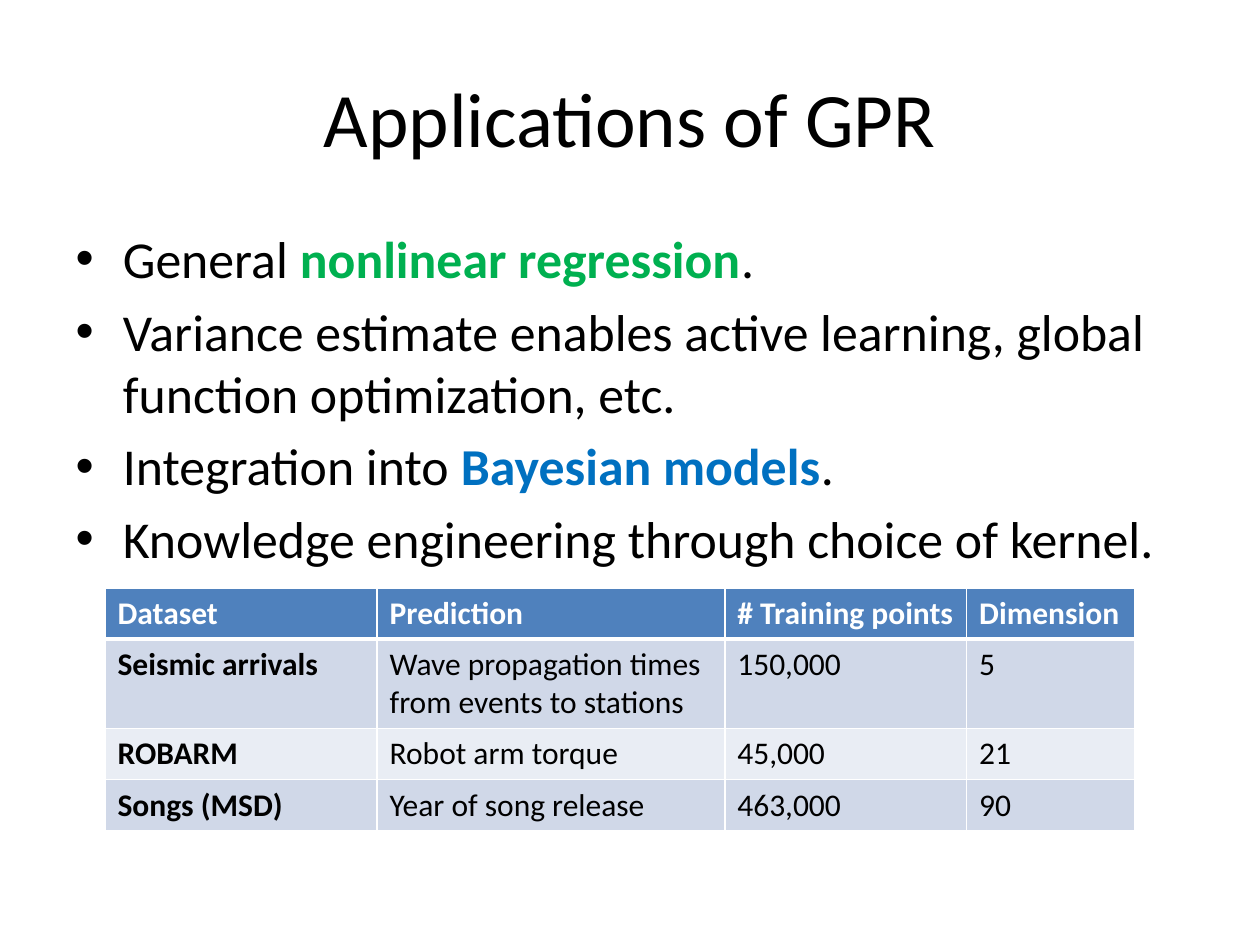
from pptx import Presentation
from pptx.dml.color import RGBColor
from pptx.enum.text import MSO_ANCHOR, PP_ALIGN
from pptx.util import Pt
from lxml.etree import SubElement
from pptx.oxml.ns import qn

FONT = "Calibri"
BLACK, WHITE, GREEN, BLUE = "000000", "FFFFFF", "00B050", "0070C0"
HEADER_FILL, BAND_FILLS = "4F81BD", ("D0D8E8", "E9EDF4")

BULLETS = [
    [("General ", {}), ("nonlinear regression", {"color": GREEN, "bold": True}), (".", {})],
    [("Variance estimate enables active learning, global function optimization, etc.", {})],
    [("Integration into ", {}), ("Bayesian models", {"color": BLUE, "bold": True}), (".", {})],
    [("Knowledge engineering through choice of kernel.", {})],
]
ROWS = [
    ("Dataset", "Prediction", "# Training points", "Dimension"),
    ("Seismic arrivals", "Wave propagation times from events to stations", "150,000", "5"),
    ("ROBARM", "Robot arm torque", "45,000", "21"),
    ("Songs (MSD)", "Year of song release", "463,000", "90"),
]
COLUMN_WIDTHS = (155.5, 198.7, 138.2, 95.8)
ROW_HEIGHT = 29.2


def rgb(color):
    return RGBColor.from_string(color)


def add_text(paragraph, text, size=18, color=BLACK, bold=False):
    run = paragraph.add_run()
    run.text = text
    run.font.name, run.font.size, run.font.bold = FONT, Pt(size), bold
    run.font.color.rgb = rgb(color)


def place(shape, box):
    shape.left, shape.top, shape.width, shape.height = map(Pt, box)


def fill_title(shape, box, text):
    place(shape, box)
    shape.text_frame.vertical_anchor = MSO_ANCHOR.MIDDLE
    paragraph = shape.text_frame.paragraphs[0]
    paragraph.alignment = PP_ALIGN.CENTER
    add_text(paragraph, text, size=44)


def fill_bullets(shape, box, bullets):
    place(shape, box)
    frame = shape.text_frame
    for index, parts in enumerate(bullets):
        paragraph = frame.add_paragraph() if index else frame.paragraphs[0]
        for text, style in parts:
            add_text(paragraph, text, size=29.6, **style)


def set_borders(cell, widths):
    """Draw white borders; widths are points by side."""
    properties = cell._tc.get_or_add_tcPr()
    for side, width in widths.items():
        line = SubElement(properties, qn(f"a:ln{side}"), w=str(Pt(width)))
        fill = SubElement(line, qn("a:solidFill"))
        SubElement(fill, qn("a:srgbClr"), val=WHITE)


def add_dataset_table(slide, left, top):
    width, height = sum(COLUMN_WIDTHS), ROW_HEIGHT * len(ROWS)
    frame = slide.shapes.add_table(len(ROWS), len(COLUMN_WIDTHS),
                                   Pt(left), Pt(top), Pt(width), Pt(height))
    table = frame.table
    for column, column_width in zip(table.columns, COLUMN_WIDTHS):
        column.width = Pt(column_width)
    for row_index, values in enumerate(ROWS):
        table.rows[row_index].height = Pt(ROW_HEIGHT)
        header = row_index == 0
        fill = HEADER_FILL if header else BAND_FILLS[(row_index - 1) % 2]
        borders = {"L": 1, "R": 1, "T": 3 if row_index == 1 else 1, "B": 3 if header else 1}
        for column_index, text in enumerate(values):
            cell = table.cell(row_index, column_index)
            set_borders(cell, borders)
            cell.fill.solid()
            cell.fill.fore_color.rgb = rgb(fill)
            add_text(cell.text_frame.paragraphs[0], text,
                     color=WHITE if header else BLACK,
                     bold=header or column_index == 0)


def build_slide(presentation):
    slide = presentation.slides.add_slide(presentation.slide_layouts[1])
    # Title and bullet list
    fill_title(slide.shapes.title, (36, 21.6, 648, 90), "Applications of GPR")
    fill_bullets(slide.placeholders[1], (36, 126, 648, 192), BULLETS)
    # Dataset table
    add_dataset_table(slide, 60, 336)


presentation = Presentation()
presentation.slide_width, presentation.slide_height = Pt(720), Pt(540)
build_slide(presentation)
presentation.save("out.pptx")
